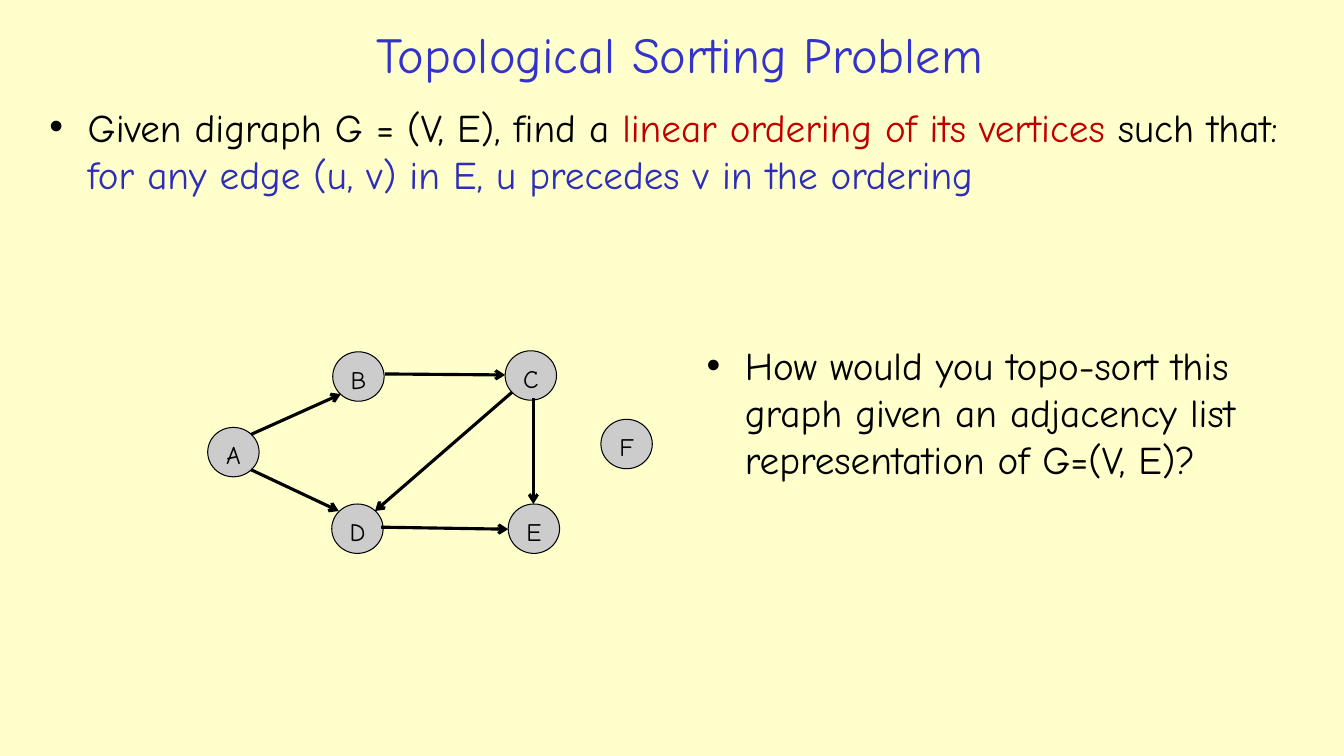
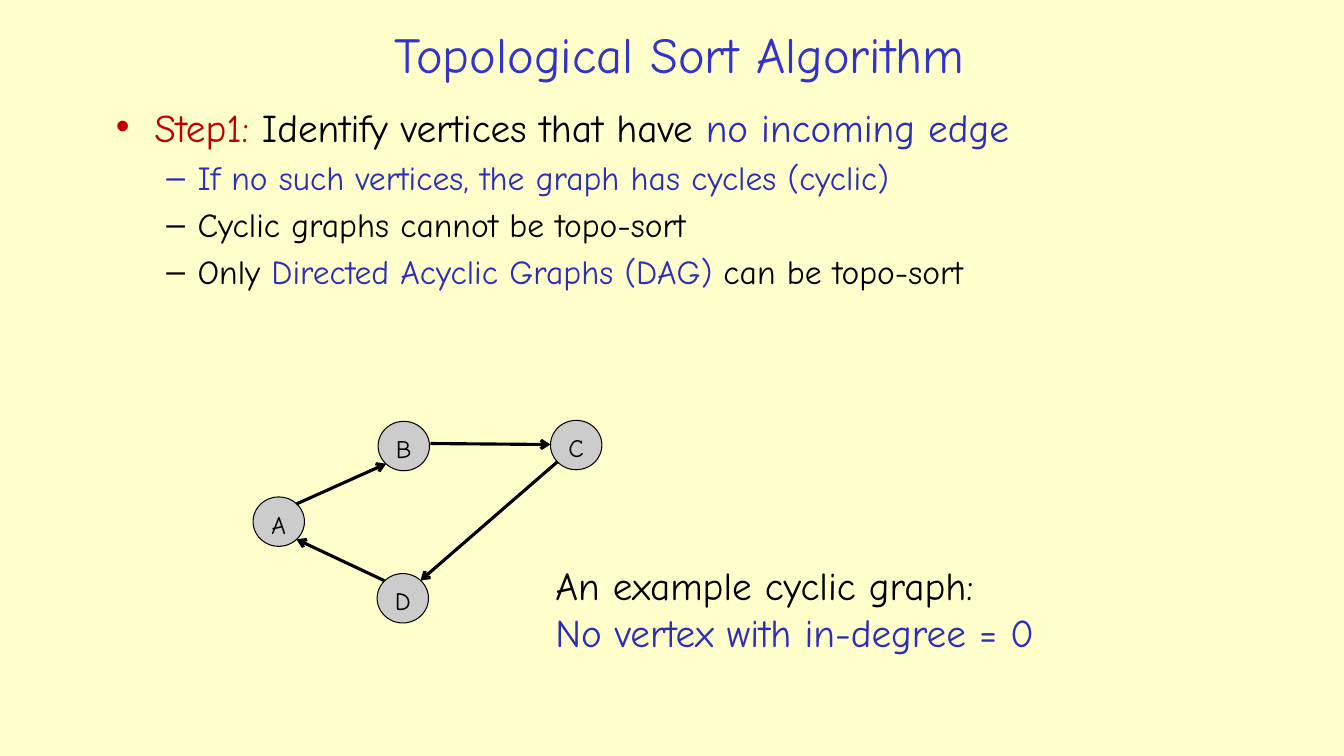
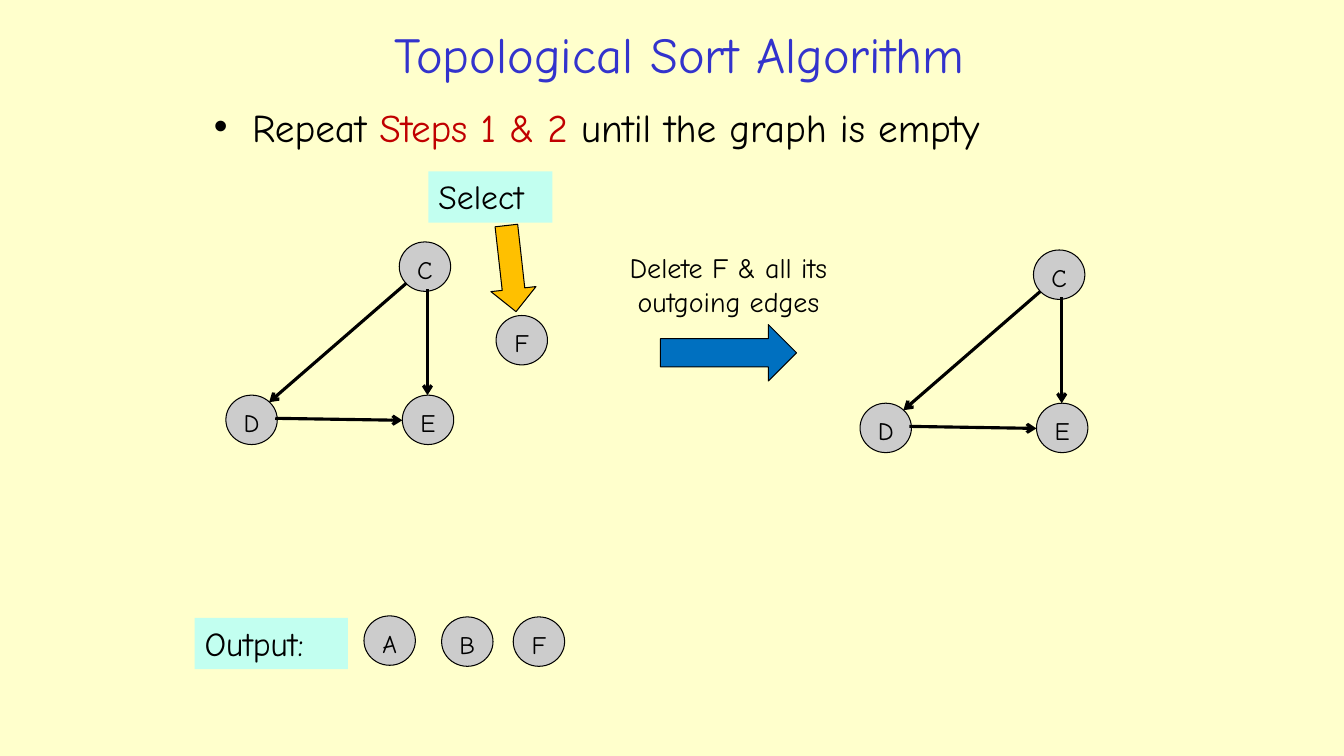
import dataclasses
import functools

import pptx
import pptx.dml.color
import pptx.enum.shapes
import pptx.enum.text
import pptx.oxml
import pptx.oxml.ns
import pptx.util

SHAPE = pptx.enum.shapes.MSO_SHAPE
ALIGN = pptx.enum.text.PP_ALIGN
ANCHOR = pptx.enum.text.MSO_ANCHOR
EMU_PER_PX = 9144  # 100 px to the inch


@dataclasses.dataclass(frozen=True)
class Theme:
    font: str = "Comic Neue"
    background: str = "FFFFCC"
    title: str = "3333CC"
    text: str = "000000"
    key: str = "C00000"
    accent: str = "2D2DB9"
    node: str = "CCCCCC"
    label: str = "C2FFF0"
    select: str = "FFC000"
    delete: str = "0070C0"
    title_size: int = 36
    body_size: int = 28
    sub_size: int = 24
    caption_size: int = 20
    node_size: int = 18
    outline: float = 0.75
    edge: float = 2.25


T = Theme()

# Bullet levels: character, left margin, hanging indent, type size
LEVELS = [("•", 38, 38, T.body_size), ("–", 81, 31, T.sub_size)]

# Graph layout shared by all slides
NODE_SIZE = (51, 49)
NODES = {"A": (206, 424), "B": (330, 349), "C": (501, 348),
         "D": (329, 500), "E": (504, 500), "F": (596, 416)}
EDGES = {"AB": (249, 431, 338, 391), "BC": (382, 371, 501, 372),
         "CE": (529, 395, 529, 500), "AD": (249, 466, 336, 507),
         "DE": (378, 523, 504, 525), "CD": (508, 389, 372, 507),
         "DA": (336, 507, 249, 466)}


# Formatting helpers
def px(*values):
    return [pptx.util.Emu(v * EMU_PER_PX) for v in values]


def rgb(colour):
    return pptx.dml.color.RGBColor.from_string(colour)


def apply(obj, formats):
    """Set attributes, given by dotted name, from a dict."""
    for name, value in formats.items():
        *owners, attr = name.split(".")
        setattr(functools.reduce(getattr, owners, obj), attr, value)


def place(sp, box):
    apply(sp, dict(zip(("left", "top", "width", "height"), px(*box))))


def xml(tag, attrs=""):
    return pptx.oxml.parse_xml(
        f'<a:{tag} {pptx.oxml.ns.nsdecls("a")} {attrs}/>')


# Text
def add_runs(p, runs, size):
    """Runs are strings or (string, colour) pairs."""
    for run in runs:
        text, colour = (run, T.text) if isinstance(run, str) else run
        r = p.add_run()
        apply(r, {"text": text, "font.name": T.font,
                  "font.size": pptx.util.Pt(size),
                  "font.color.rgb": rgb(colour)})


def fill_text(sp, paragraphs, size, align=ALIGN.LEFT, anchor=ANCHOR.TOP):
    tf = sp.text_frame
    apply(tf, {"word_wrap": True, "vertical_anchor": anchor,
               "auto_size": pptx.enum.text.MSO_AUTO_SIZE.NONE})
    for i, runs in enumerate(paragraphs):
        p = tf.add_paragraph() if i else tf.paragraphs[0]
        p.alignment = align
        add_runs(p, runs, size)


def fill_bullets(sp, items):
    """Items are (level, runs) pairs."""
    tf = sp.text_frame
    fill_text(sp, [], T.body_size)
    for i, (level, runs) in enumerate(items):
        char, margin, hang, size = LEVELS[level]
        p = tf.add_paragraph() if i else tf.paragraphs[0]
        apply(p, {"level": level, "alignment": ALIGN.LEFT,
                  "space_before": pptx.util.Pt(size * 0.2)})
        pPr = p._p.get_or_add_pPr()
        pPr.set("marL", str(margin * EMU_PER_PX))
        pPr.set("indent", str(-hang * EMU_PER_PX))
        pPr.append(xml("buFont", 'typeface="Arial"'))
        pPr.append(xml("buChar", f'char="{char}"'))
        add_runs(p, runs, size)


def add_text(slide, box, paragraphs, size, align=ALIGN.LEFT):
    sp = slide.shapes.add_textbox(*px(*box))
    fill_text(sp, paragraphs, size, align)


# Shapes
def add_shape(shapes, kind, box, fill, outlined=True):
    sp = shapes.add_shape(kind, *px(*box))
    sp.shadow.inherit = False
    sp.fill.solid()
    sp.fill.fore_color.rgb = rgb(fill)
    if outlined:
        apply(sp, {"line.color.rgb": rgb(T.text),
                   "line.width": pptx.util.Pt(T.outline)})
    else:
        sp.line.fill.background()
    return sp


def add_label(slide, box, text):
    sp = add_shape(slide.shapes, SHAPE.RECTANGLE, box, T.label, False)
    fill_text(sp, [[text]], T.sub_size)


def add_node(shapes, name, x, y):
    sp = add_shape(shapes, SHAPE.OVAL, (x, y, *NODE_SIZE), T.node)
    fill_text(sp, [[name]], T.node_size, ALIGN.CENTER)


def add_edge(shapes, ends):
    line = shapes.add_connector(
        pptx.enum.shapes.MSO_CONNECTOR.STRAIGHT, *px(*ends))
    apply(line, {"line.color.rgb": rgb(T.text),
                 "line.width": pptx.util.Pt(T.edge)})
    line.line._get_or_add_ln().append(xml("tailEnd", 'type="arrow"'))
    line._element.spPr.append(xml("effectLst"))


def add_graph(slide, nodes, edges, dx=0, dy=0):
    """Draw part of the shared graph, moved by (dx, dy)."""
    shapes = slide.shapes.add_group_shape().shapes
    for name in nodes:
        x, y = NODES[name]
        add_node(shapes, name, x + dx, y + dy)
    for name in edges:
        x1, y1, x2, y2 = EDGES[name]
        add_edge(shapes, (x1 + dx, y1 + dy, x2 + dx, y2 + dy))


# Slides
def add_slide(prs, title, body_box, items):
    slide = prs.slides.add_slide(prs.slide_layouts[1])
    head, body = slide.placeholders
    place(head, (197, 15, 954, 76))
    fill_text(head, [[(title, T.title)]], T.title_size,
              ALIGN.CENTER, ANCHOR.MIDDLE)
    place(body, body_box)
    fill_bullets(body, items)
    return slide


def problem_slide(prs):
    slide = add_slide(prs, "Topological Sorting Problem", (39, 97, 1248, 119), [
        (0, ["Given digraph G = (V, E), find a ",
             ("linear ordering of its vertices ", T.key), "such that: ",
             ("for any edge (u, v) in E, u precedes v in the ordering",
              T.accent)])])
    add_graph(slide, "ABCDFE", ["AB", "BC", "CE", "AD", "DE", "CD"])
    question = slide.shapes.add_textbox(*px(691, 334, 566, 262))
    fill_bullets(question, [
        (0, ["How would you topo-sort this graph given an adjacency list "
             "representation of G=(V, E)?"])])


def cycle_slide(prs):
    slide = add_slide(prs, "Topological Sort Algorithm", (105, 97, 1053, 284), [
        (0, [("Step1: ", T.key), "Identify vertices that have ",
             ("no incoming edge", T.accent)]),
        (1, [("If no such vertices, the graph has cycles (cyclic)", T.accent)]),
        (1, ["Cyclic graphs cannot be topo-sort"]),
        (1, ["Only ", ("Directed Acyclic Graphs (DAG)", T.accent),
             " can be topo-sort"])])
    add_graph(slide, "ABCD", ["AB", "BC", "DA", "CD"], 45, 69)
    add_text(slide, (541, 552, 556, 104),
             [["An example cyclic graph:"],
              [("No vertex with in-degree = 0", T.accent)]], T.body_size)


def repeat_slide(prs):
    slide = add_slide(prs, "Topological Sort Algorithm", (202, 97, 941, 80), [
        (0, ["Repeat ", ("Steps 1 & 2", T.key),
             " until the graph is empty"])])
    # Graph before and after the deletion
    for dx, dy in ((-105, -108), (524, -100)):
        add_graph(slide, "CDE", ["CE", "DE", "CD"], dx, dy)
    # Selected vertex
    add_node(slide.shapes, "F", 492, 313)
    add_label(slide, (425, 170, 123, 51), "Select")
    arrow = add_shape(slide.shapes, SHAPE.RIGHT_ARROW,
                      (464, 244, 86, 45), T.select)
    arrow.rotation = 83.6
    # Deletion step
    add_shape(slide.shapes, SHAPE.RIGHT_ARROW, (655, 322, 135, 56), T.delete)
    add_text(slide, (597, 244, 251, 77),
             [["Delete F & all its outgoing edges"]],
             T.caption_size, ALIGN.CENTER)
    # Output row
    add_label(slide, (193, 613, 152, 51), "Output:")
    for name, x, y in (("A", 361, 611), ("B", 438, 612), ("F", 509, 612)):
        add_node(slide.shapes, name, x, y)


def main():
    prs = pptx.Presentation()
    apply(prs, dict(zip(("slide_width", "slide_height"), px(1333, 750))))
    fill = prs.slide_master.background.fill
    fill.solid()
    fill.fore_color.rgb = rgb(T.background)
    problem_slide(prs)
    cycle_slide(prs)
    repeat_slide(prs)
    prs.save("out.pptx")


if __name__ == "__main__":
    main()
